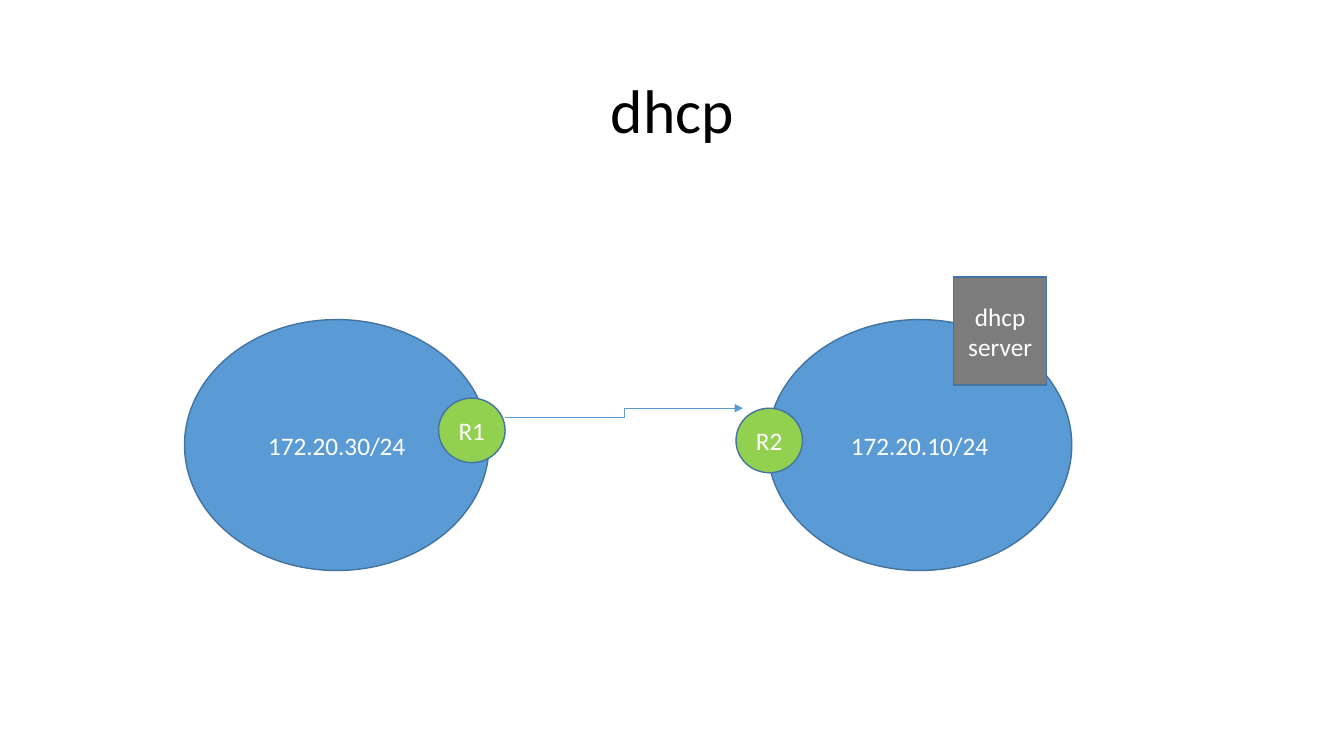
from lxml.etree import SubElement
from pptx import Presentation
from pptx.dml.color import RGBColor
from pptx.enum.shapes import MSO_CONNECTOR as Link, MSO_SHAPE as Shape
from pptx.enum.text import MSO_ANCHOR as Anchor, PP_ALIGN as Align
from pptx.oxml.ns import qn
from pptx.util import Inches, Pt

COLORS = {
    "text": "000000",
    "label": "FFFFFF",
    "net": "5B9BD5",
    "router": "92D050",
    "server": "7C7C7C",
    "edge": "43739E",
}


def color(name):
    return RGBColor.from_string(COLORS[name])


def write(frame, text, size, ink):
    frame.word_wrap = True
    frame.vertical_anchor = Anchor.MIDDLE
    para = frame.paragraphs[0]
    para.text = text
    para.alignment = Align.CENTER
    para.font.name = "Calibri"
    para.font.size = Pt(size)
    para.font.color.rgb = color(ink)
    return para


def add_title(slide, text):
    box = slide.shapes.add_textbox(Inches(0.92), Inches(0.4), Inches(11.5), Inches(1.45))
    write(box.text_frame, text, 44, "text").line_spacing = 0.9


def add_node(slide, kind, text, fill, left, top, width, height):
    node = slide.shapes.add_shape(
        kind, Inches(left), Inches(top), Inches(width), Inches(height)
    )
    node.shadow.inherit = False
    node.fill.solid()
    node.fill.fore_color.rgb = color(fill)
    node.line.color.rgb = color("edge")
    node.line.width = Pt(1)
    write(node.text_frame, text, 18, "label")


def add_net(slide, text, left):
    add_node(slide, Shape.OVAL, text, "net", left, 3.17, 3.02, 2.49)


def add_router(slide, text, left, top):
    add_node(slide, Shape.OVAL, text, "router", left, top, 0.66, 0.64)


def add_arrow(slide, left, top, right, end):
    arrow = slide.shapes.add_connector(
        Link.ELBOW, Inches(left), Inches(top), Inches(right), Inches(end)
    )
    arrow.line.color.rgb = color("net")
    arrow.line.width = Pt(0.5)
    props = arrow.element.spPr
    SubElement(props.find(qn("a:ln")), qn("a:tailEnd"), type="triangle")
    SubElement(props, qn("a:effectLst"))


def main():
    deck = Presentation()
    deck.slide_width = Inches(13.33)
    deck.slide_height = Inches(7.5)
    slide = deck.slides.add_slide(deck.slide_layouts[6])
    add_title(slide, "dhcp")
    add_net(slide, "172.20.30/24", 1.83)
    add_net(slide, "172.20.10/24", 7.61)
    add_router(slide, "R1", 4.35, 3.95)
    add_router(slide, "R2", 7.3, 4.05)
    add_arrow(slide, 5.01, 4.14, 7.37, 4.05)
    add_node(slide, Shape.RECTANGLE, "dhcp server", "server", 9.46, 2.75, 0.92, 1.07)
    deck.save("out.pptx")


if __name__ == "__main__":
    main()
